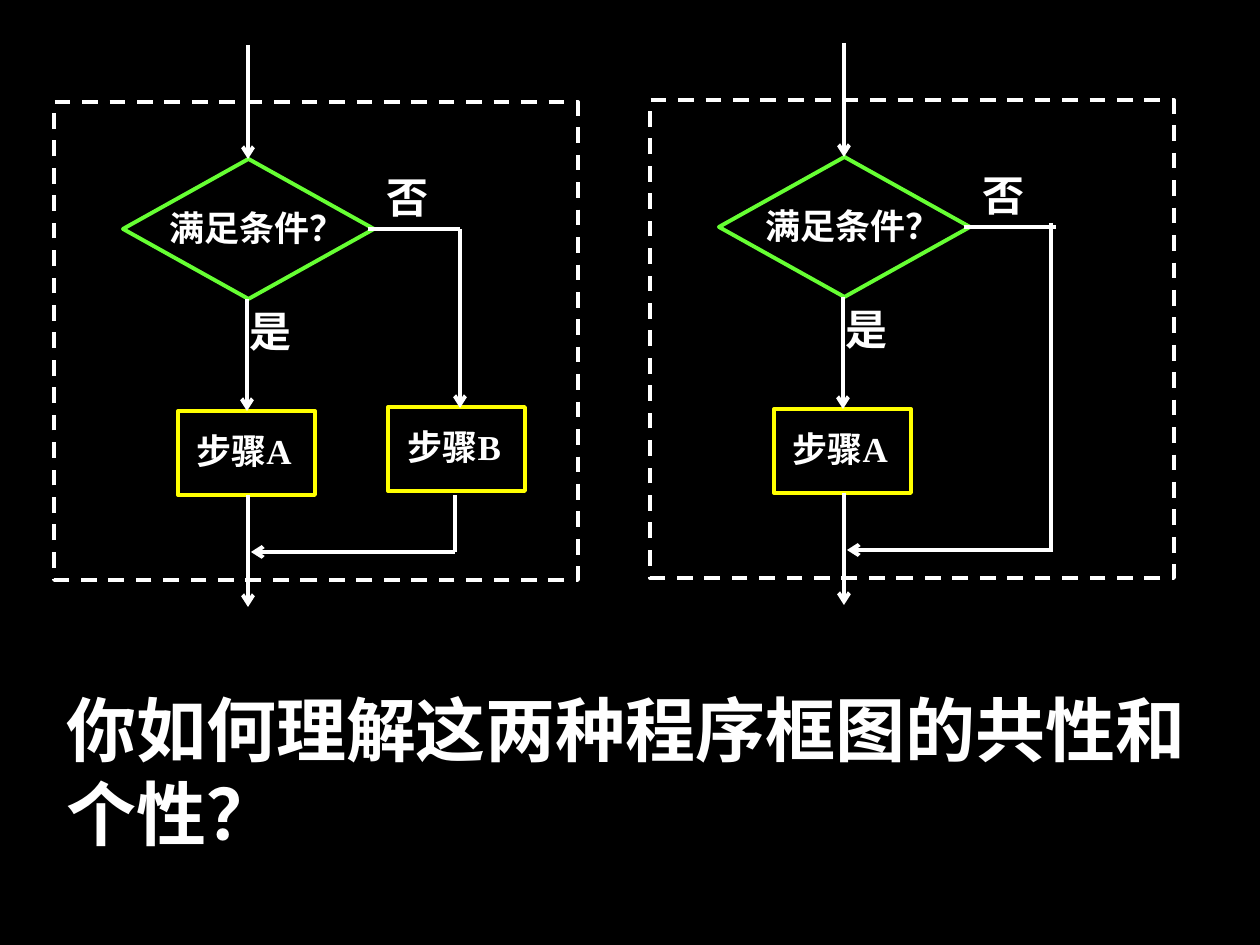
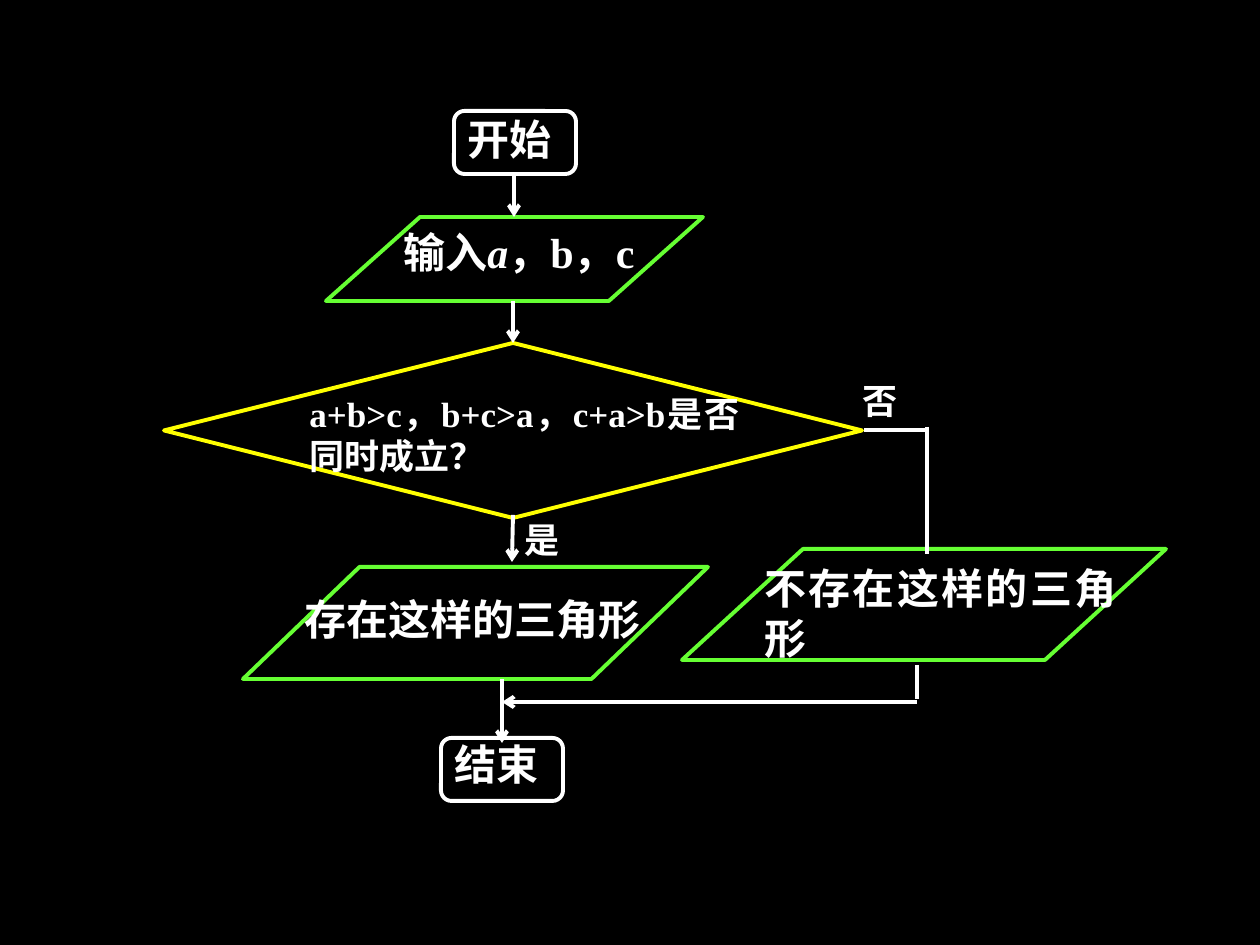
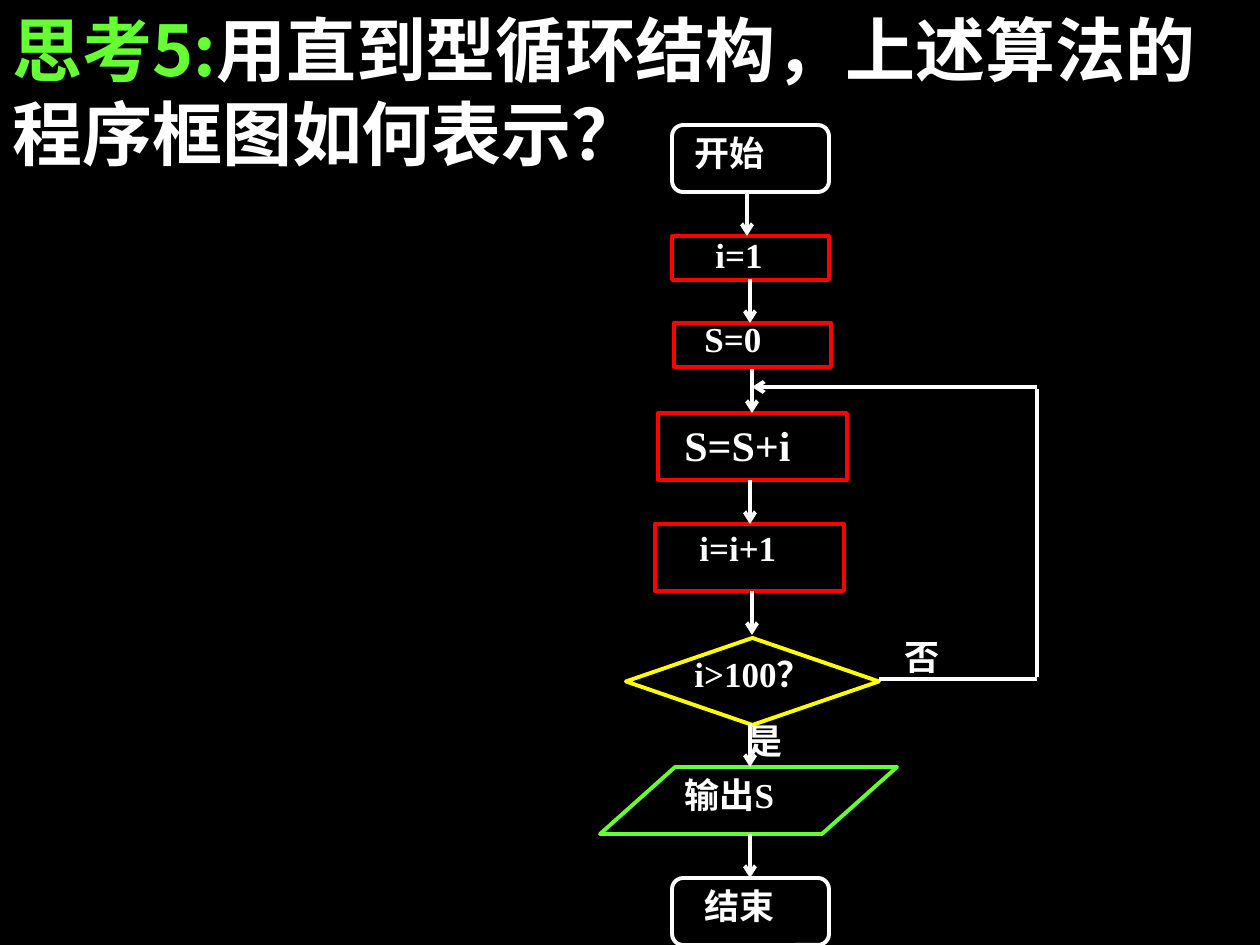
from lxml import etree
from pptx import Presentation
from pptx.dml.color import RGBColor
from pptx.enum.dml import MSO_LINE
from pptx.enum.shapes import MSO_CONNECTOR, MSO_SHAPE
from pptx.enum.text import PP_ALIGN
from pptx.oxml.ns import qn
from pptx.util import Pt

PX = 914400 / 126
COLOURS = {"background": "000000", "white": "FFFFFF", "green": "66FF33",
           "yellow": "FFFF00", "red": "FF0000"}
SERIF, SANS, CHINESE = "Times New Roman", "Arial", "Noto Sans CJK SC"
LINE_WIDTH = Pt(2.25)


def emu(pixels):
    return round(pixels * PX)


def rgb(name):
    return RGBColor.from_string(COLOURS[name])


def add_text(slide, box, runs, size, font_name, align=None):
    """Runs are (text, format) pairs; format overrides font, colour or italic."""
    shape = slide.shapes.add_textbox(*map(emu, box))
    shape.text_frame.word_wrap = True
    paragraph = shape.text_frame.paragraphs[0]
    paragraph.alignment = align
    font = paragraph.font
    font.size, font.bold, font.name = Pt(size), True, font_name
    font.color.rgb = rgb("white")
    properties = paragraph._p.get_or_add_pPr().get_or_add_defRPr()
    etree.SubElement(properties, qn("a:ea")).set("typeface", CHINESE)
    for text, override in runs:
        run = paragraph.add_run()
        run.text = text
        if "font" in override:
            run.font.name = override["font"]
        if "colour" in override:
            run.font.color.rgb = rgb(override["colour"])
        if "italic" in override:
            run.font.italic = override["italic"]


class Region:
    """Places flowchart parts relative to its own top left corner."""

    def __init__(self, slide, left, top):
        self.slide, self.left, self.top = slide, left, top

    def move(self, box):
        left, top, width, height = box
        return self.left + left, self.top + top, width, height

    def outline(self, geometry, box, colour, slant=None, dashed=False):
        shape = self.slide.shapes.add_shape(geometry, *map(emu, self.move(box)))
        shape.shadow.inherit = False
        shape.fill.background()
        shape.line.color.rgb = rgb(colour)
        shape.line.width = LINE_WIDTH
        if slant:
            shape.adjustments[0] = slant
        if dashed:
            shape.line.dash_style = MSO_LINE.DASH

    def label(self, box, text, size=20):
        runs = [(text, {})] if isinstance(text, str) else text
        add_text(self.slide, self.move(box), runs, size, SERIF, PP_ALIGN.JUSTIFY)

    def line(self, start, end, arrow=False):
        points = [emu(value) for x, y in (start, end)
                  for value in (self.left + x, self.top + y)]
        connector = self.slide.shapes.add_connector(MSO_CONNECTOR.STRAIGHT, *points)
        connector.line.color.rgb = rgb("white")
        connector.line.width = LINE_WIDTH
        if arrow:
            outline = connector.line._get_or_add_ln()
            etree.SubElement(outline, qn("a:tailEnd")).set("type", "arrow")
        etree.SubElement(connector._element.spPr, qn("a:effectLst"))

    def arrow(self, start, end):
        self.line(start, end, arrow=True)


def draw_condition(slide, left, top, has_step_b):
    """Dashed panel with one condition and one or two branches."""
    panel = Region(slide, left, top)
    panel.outline(MSO_SHAPE.DIAMOND, (69, 57, 251, 140), "green")
    panel.label((103, 98, 238, 84), "满足条件？")
    panel.label((183, 197, 68, 84), "是", 24)
    panel.label((320, 63, 68, 84), "否", 24)
    steps = [("步骤A", 124, 309, 6)]
    if has_step_b:
        steps.append(("步骤B", 334, 305, 7))
    for text, x, y, indent in steps:
        panel.outline(MSO_SHAPE.RECTANGLE, (x, y, 137, 84), "yellow")
        panel.label((x + indent, y + 12, 137, 84), text)
    # Main path
    panel.arrow((194, -57), (194, 57))
    panel.arrow((193, 197), (193, 309))
    panel.arrow((194, 393), (194, 505))
    # Branch for "no"
    panel.line((406, 127), (314, 127))
    if has_step_b:
        panel.arrow((406, 127), (406, 306))
        panel.line((401, 450), (401, 393))
    else:
        panel.line((401, 123), (401, 452))
    panel.arrow((401, 450), (197, 450))
    panel.outline(MSO_SHAPE.RECTANGLE, (0, 0, 524, 478), "white", dashed=True)


def draw_triangle_flow(slide, left, top):
    flow = Region(slide, left, top)
    # Start and end
    for text, box, label_box in [
            ("开始", (294, 11, 122, 63), (295, 7, 141, 78)),
            ("结束", (281, 638, 122, 63), (282, 632, 151, 93))]:
        flow.outline(MSO_SHAPE.ROUNDED_RECTANGLE, box, "white")
        flow.label(label_box, text, 24)
    # Input and outputs
    inputs = [("输入", {}), ("a", {"italic": True}), ("，b，c", {})]
    for text, box, slant, label_box in [
            (inputs, (166, 117, 377, 84), 1.12, (231, 120, 307, 83)),
            ("存在这样的三角形", (83, 467, 465, 112), 1.04, (132, 487, 381, 91)),
            ("不存在这样的三角形", (522, 449, 484, 111), 1.09, (592, 456, 377, 91))]:
        flow.outline(MSO_SHAPE.PARALLELOGRAM, box, "green", slant)
        flow.label(label_box, text, 24)
    # Condition
    comma = ("，", {"font": CHINESE})
    flow.outline(MSO_SHAPE.DIAMOND, (4, 243, 698, 175), "yellow")
    flow.label((137, 286, 455, 107),
               [("a+b>c", {}), comma, ("b+c>a", {}), comma,
                ("c+a>b是否同时成立？", {})])
    flow.label((352, 412, 101, 89), "是")
    flow.label((690, 273, 73, 76), "否")
    # Main path
    for start, end in [((354, 75), (354, 117)), ((353, 201), (353, 243)),
                       ((353, 415), (352, 462)), ((342, 579), (342, 643))]:
        flow.arrow(start, end)
    # Branch for "no"
    flow.line((767, 330), (704, 330))
    flow.line((767, 327), (767, 454))
    flow.line((757, 565), (757, 599))
    flow.arrow((757, 602), (342, 602))


def draw_until_loop(slide, left, top):
    flow = Region(slide, left, top)
    rounded, rectangle = MSO_SHAPE.ROUNDED_RECTANGLE, MSO_SHAPE.RECTANGLE
    steps = [
        (rounded, "white", (72, 5, 157, 67), "开始", (82, 5, 157, 67), 20),
        (rectangle, "red", (72, 116, 157, 44), "i=1", (103, 107, 126, 67), 20),
        (rectangle, "red", (74, 203, 157, 44), "S=0", (92, 191, 126, 67), 20),
        (rectangle, "red", (58, 293, 189, 67), "S=S+i", (72, 293, 189, 64), 24),
        (rectangle, "red", (55, 404, 189, 67), "i=i+1", (87, 400, 157, 64), 20),
        (MSO_SHAPE.DIAMOND, "yellow", (26, 518, 253, 87), "i>100？",
         (82, 526, 189, 67), 20),
        (MSO_SHAPE.PARALLELOGRAM, "green", (0, 647, 297, 67), "输出S",
         (72, 647, 157, 67), 20),
        (rounded, "white", (72, 758, 157, 67), "结束", (92, 758, 126, 67), 20),
    ]
    for geometry, colour, box, text, label_box, size in steps:
        slant = 1.12 if geometry == MSO_SHAPE.PARALLELOGRAM else None
        flow.outline(geometry, box, colour, slant)
        flow.label(label_box, text, size)
    flow.label((135, 593, 95, 67), "是")
    flow.label((292, 509, 95, 67), "否")
    # Main path
    for x, y in [(147, 72), (150, 159), (152, 249), (150, 360), (152, 471),
                 (150, 603), (150, 714)]:
        flow.arrow((x, y), (x, y + 44))
    # Way back for "no"
    flow.line((279, 559), (437, 559))
    flow.line((437, 269), (437, 557))
    flow.arrow((437, 267), (152, 267))


def add_slide(presentation):
    slide = presentation.slides.add_slide(presentation.slide_layouts[6])
    slide.background.fill.solid()
    slide.background.fill.fore_color.rgb = rgb("background")
    return slide


def main():
    presentation = Presentation()
    presentation.slide_width, presentation.slide_height = emu(1260), emu(945)

    # Two kinds of conditional structure
    slide = add_slide(presentation)
    draw_condition(slide, 54, 102, has_step_b=True)
    draw_condition(slide, 650, 100, has_step_b=False)
    add_text(slide, (54, 680, 1147, 181),
             [("你如何理解这两种程序框图的共性和个性？", {})], 40, SANS)

    # Triangle test
    draw_triangle_flow(add_slide(presentation), 160, 100)

    # Until loop
    slide = add_slide(presentation)
    add_text(slide, (0, 0, 1260, 181),
             [("思考5:", {"font": CHINESE, "colour": "green"}),
              ("用直到型循环结构，上述算法的程序框图如何表示？", {"font": CHINESE})],
             40, SANS)
    draw_until_loop(slide, 600, 120)

    presentation.save("out.pptx")


if __name__ == "__main__":
    main()
